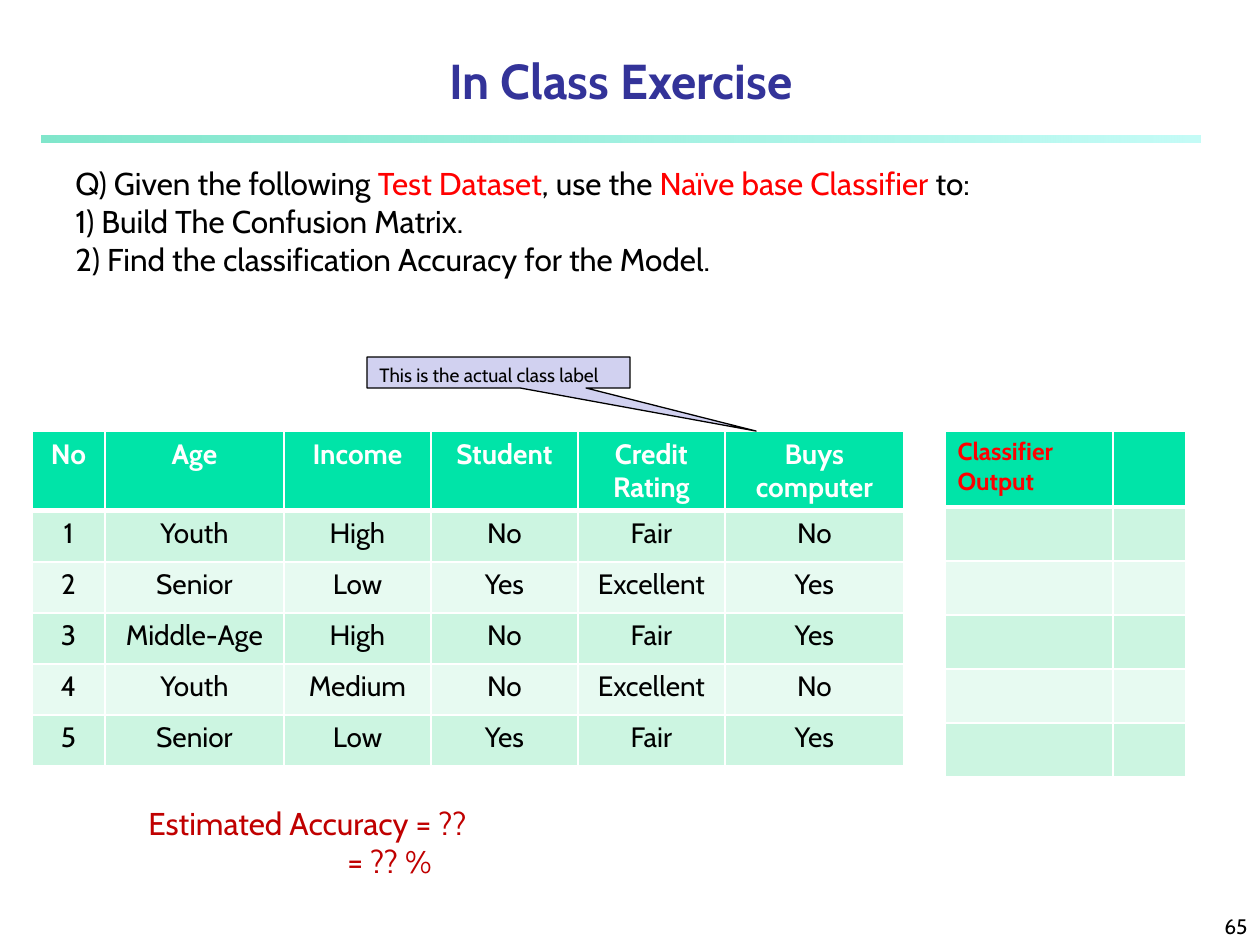
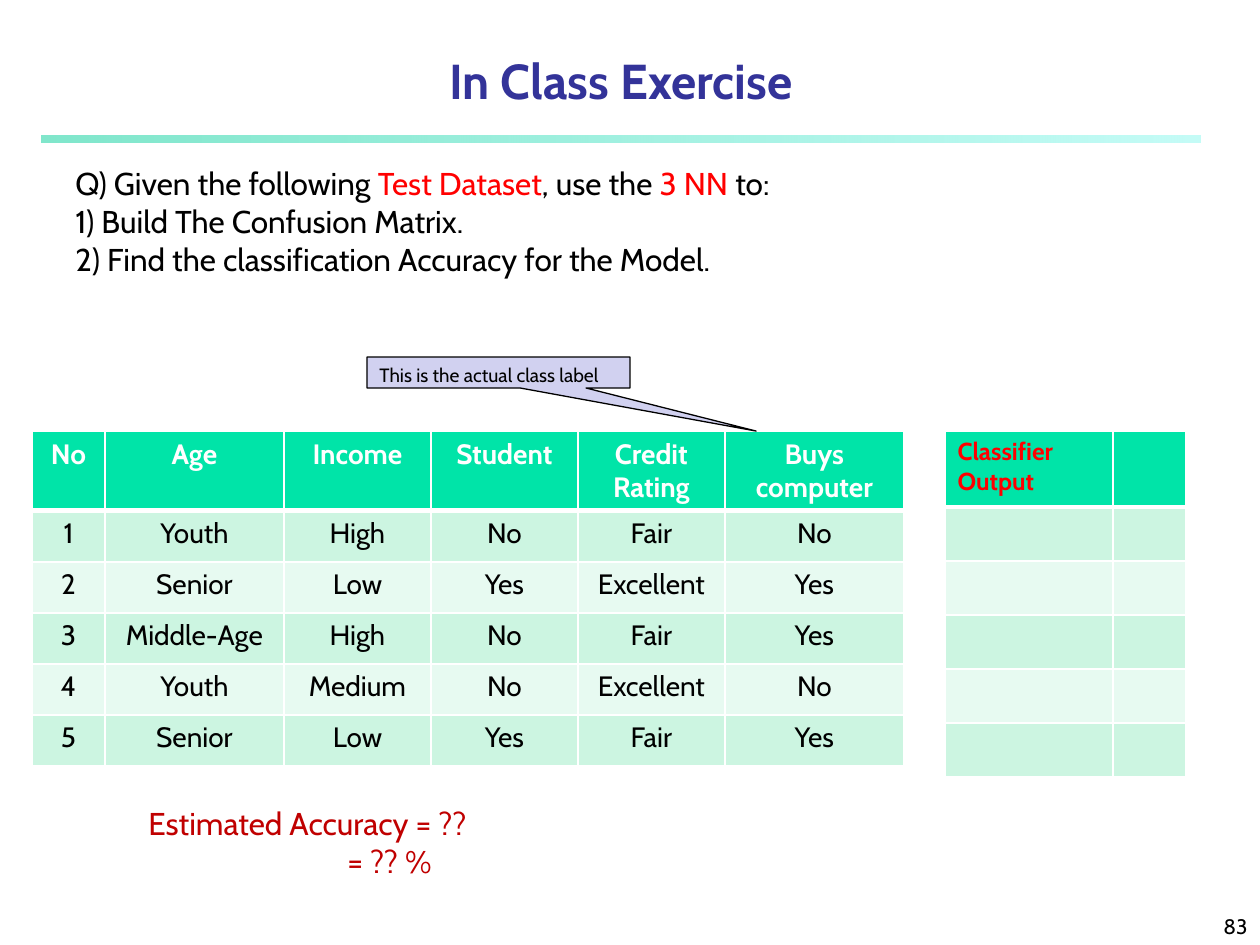
from dataclasses import dataclass

from lxml.etree import SubElement
from pptx import Presentation
from pptx.dml.color import RGBColor
from pptx.enum.shapes import MSO_SHAPE
from pptx.enum.text import MSO_ANCHOR, MSO_AUTO_SIZE, PP_ALIGN
from pptx.oxml.ns import qn
from pptx.util import Emu, Pt


@dataclass(frozen=True)
class Theme:
    font: str = "Cabin"
    white: str = "FFFFFF"
    black: str = "000000"
    title: str = "333399"
    red: str = "FF0000"
    dark: str = "C00000"
    head: str = "00E4A8"
    rows: tuple = ("CCF5E1", "E7FAF1")
    band: tuple = (("00CE98", 50), ("8FF9EF", 52))
    note: str = "D1D1F0"
    big: int = 28
    body: int = 18
    cell: int = 16
    label: int = 14
    page: int = 12
    small: int = 11


THEME = Theme()

DATA = [
    ["No", "Age", "Income", "Student", "Credit\nRating", "Buys\ncomputer"],
    ["1", "Youth", "High", "No", "Fair", "No"],
    ["2", "Senior", "Low", "Yes", "Excellent", "Yes"],
    ["3", "Middle-Age", "High", "No", "Fair", "Yes"],
    ["4", "Youth", "Medium", "No", "Excellent", "No"],
    ["5", "Senior", "Low", "Yes", "Fair", "Yes"],
]
OUTPUT = [["Classifier Output", ""]] + [["", ""]] * 5
TASKS = ["1) Build The Confusion Matrix.",
         "2) Find the classification Accuracy for the Model."]


def px(count):
    return Emu(round(count * 914400 / 126))


def rgb(code):
    return RGBColor.from_string(code)


def style(para, size, color, bold=False, align=PP_ALIGN.LEFT):
    para.alignment = align
    font = para.font
    font.name, font.size, font.bold = THEME.font, Pt(size), bold
    font.color.rgb = rgb(color)


# Text parts
def add_title(slide, text):
    title = slide.shapes.title
    title.left, title.top, title.width, title.height = map(px, (42, 32, 1158, 84))
    frame = title.text_frame
    frame.text = text
    frame.auto_size = MSO_AUTO_SIZE.NONE
    frame.vertical_anchor = MSO_ANCHOR.BOTTOM
    style(frame.paragraphs[0], THEME.big, THEME.title, True, PP_ALIGN.CENTER)


def add_text(slide, box, lines, size, color, align=PP_ALIGN.LEFT):
    """Each line is a list of (text, color) runs or a plain string."""
    frame = slide.shapes.add_textbox(*map(px, box)).text_frame
    frame.word_wrap = True
    for index, line in enumerate(lines):
        para = frame.add_paragraph() if index else frame.paragraphs[0]
        style(para, size, color, align=align)
        if isinstance(line, str):
            para.text = line
            continue
        for text, tint in line:
            run = para.add_run()
            run.text = text
            run.font.color.rgb = rgb(tint)
    return frame


def add_page(slide, number):
    frame = add_text(slide, (998, 892, 262, 53), [str(number)],
                     THEME.page, THEME.black, PP_ALIGN.RIGHT)
    frame.vertical_anchor = MSO_ANCHOR.BOTTOM


def add_task(slide, method):
    ask = [("Q) Given the following ", THEME.black), ("Test Dataset", THEME.red),
           (", use the ", THEME.black), (method + " ", THEME.red),
           ("to:", THEME.black)]
    frame = add_text(slide, (63, 158, 1134, 127), [ask] + TASKS,
                     THEME.body, THEME.black)
    frame.auto_size = MSO_AUTO_SIZE.SHAPE_TO_FIT_TEXT


def add_result(slide):
    frame = add_text(slide, (136, 798, 514, 89),
                     ["Estimated Accuracy = ??", "= ?? %"], THEME.body, THEME.dark)
    frame.auto_size = MSO_AUTO_SIZE.SHAPE_TO_FIT_TEXT
    # Indent the second line under the equals sign
    frame.paragraphs[1]._p.get_or_add_pPr().set("marL", str(px(199)))


# Shapes
def add_band(slide):
    band = slide.shapes.add_shape(MSO_SHAPE.RECTANGLE, *map(px, (42, 136, 1159, 7)))
    band.shadow.inherit = False
    band.line.fill.background()
    band.fill.gradient()
    band.fill.gradient_angle = 0
    for stop, (color, _) in zip(band.fill.gradient_stops, THEME.band):
        stop.color.rgb = rgb(color)
    tints = band.element.spPr.iter(qn("a:srgbClr"))
    for tint, (_, alpha) in zip(tints, THEME.band):
        SubElement(tint, qn("a:alpha"), val=str(alpha * 1000))


def add_note(slide, text):
    note = slide.shapes.add_shape(MSO_SHAPE.RECTANGULAR_CALLOUT,
                                  *map(px, (367, 357, 263, 31)))
    note.adjustments[0], note.adjustments[1] = 0.98, 1.89
    note.shadow.inherit = False
    note.fill.solid()
    note.fill.fore_color.rgb = rgb(THEME.note)
    note.line.color.rgb = rgb(THEME.black)
    note.line.width = Pt(0.75)
    frame = note.text_frame
    frame.text = text
    frame.word_wrap = False
    frame.vertical_anchor = MSO_ANCHOR.TOP
    style(frame.paragraphs[0], THEME.small, THEME.black)


# Tables
def add_edges(cell, top):
    edges = {"L": 1, "R": 1, "T": 1, "B": 3} if top else {"L": 1, "R": 1, "B": 1}
    props = cell._tc.get_or_add_tcPr()
    for side, width in edges.items():
        line = SubElement(props, qn("a:ln" + side), w=str(Pt(width)))
        fill = SubElement(line, qn("a:solidFill"))
        SubElement(fill, qn("a:srgbClr"), val=THEME.white)


def add_grid(slide, left, data, widths, heights, head, size, align):
    box = (left, 431, sum(widths), sum(heights))
    table = slide.shapes.add_table(len(data), len(widths), *map(px, box)).table
    table.horz_banding = False
    for column, width in zip(table.columns, widths):
        column.width = px(width)
    for row, (line, height) in enumerate(zip(data, heights)):
        table.rows[row].height = px(height)
        for col, text in enumerate(line):
            cell = table.cell(row, col)
            top = row == 0
            add_edges(cell, top)
            cell.fill.solid()
            cell.fill.fore_color.rgb = rgb(THEME.head if top else THEME.rows[(row - 1) % 2])
            cell.text = text
            for para in cell.text_frame.paragraphs:
                style(para, size, head if top else THEME.black, top, align)


def add_slide(deck, number, method):
    slide = deck.slides.add_slide(deck.slide_layouts[5])
    add_band(slide)
    add_title(slide, "In Class Exercise")
    add_page(slide, number)
    add_grid(slide, 32, DATA, [73, 179, 147, 147, 147, 179], [79] + [51] * 5,
             THEME.white, THEME.cell, PP_ALIGN.CENTER)
    add_grid(slide, 945, OUTPUT, [168, 73], [76] + [54] * 5,
             THEME.red, THEME.label, PP_ALIGN.LEFT)
    add_result(slide)
    add_note(slide, "This is the actual class label")
    add_task(slide, method)


def main():
    deck = Presentation()
    deck.slide_width, deck.slide_height = px(1260), px(945)
    add_slide(deck, 65, "Naïve base Classifier")
    add_slide(deck, 83, "3 NN")
    deck.save("out.pptx")


if __name__ == "__main__":
    main()
